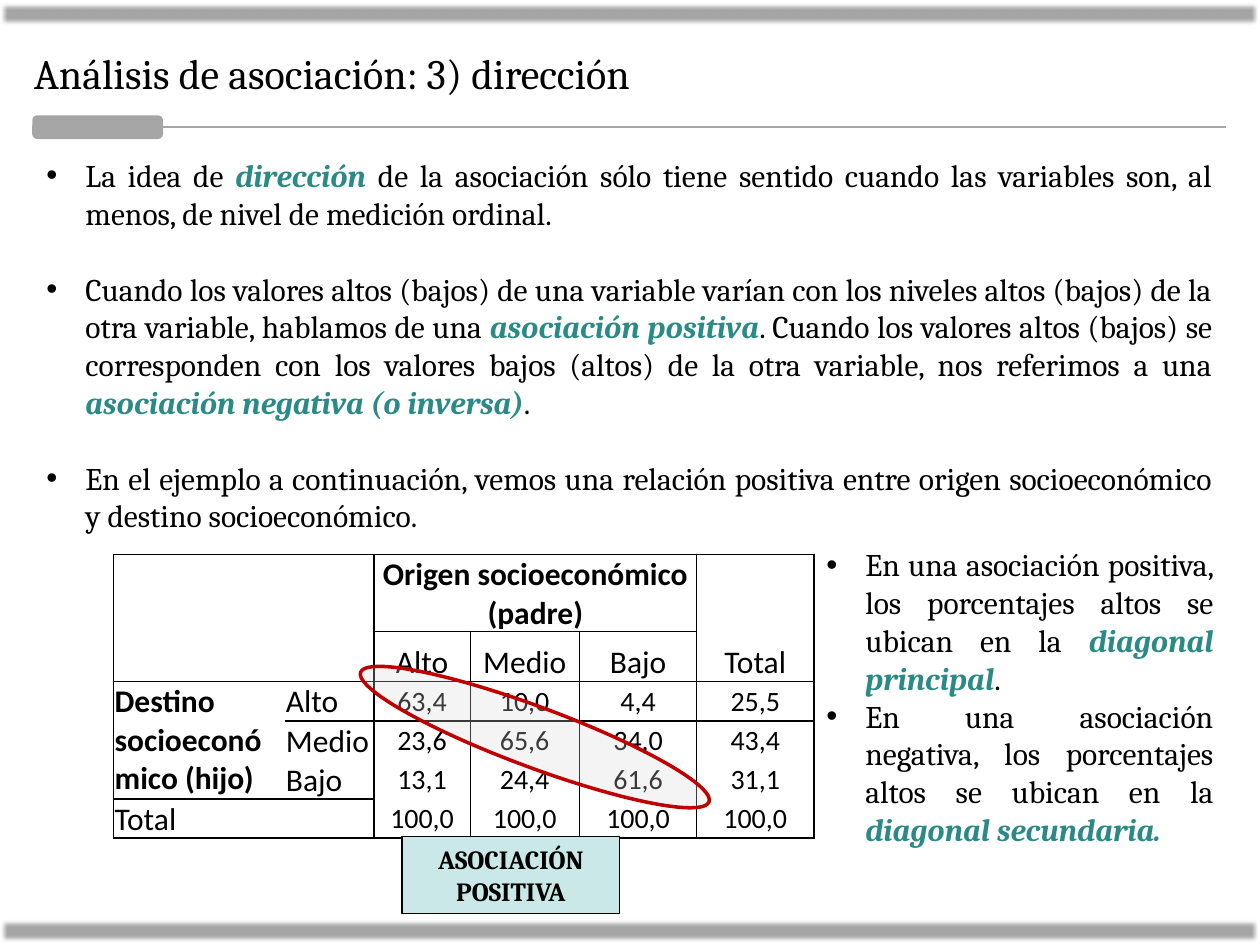
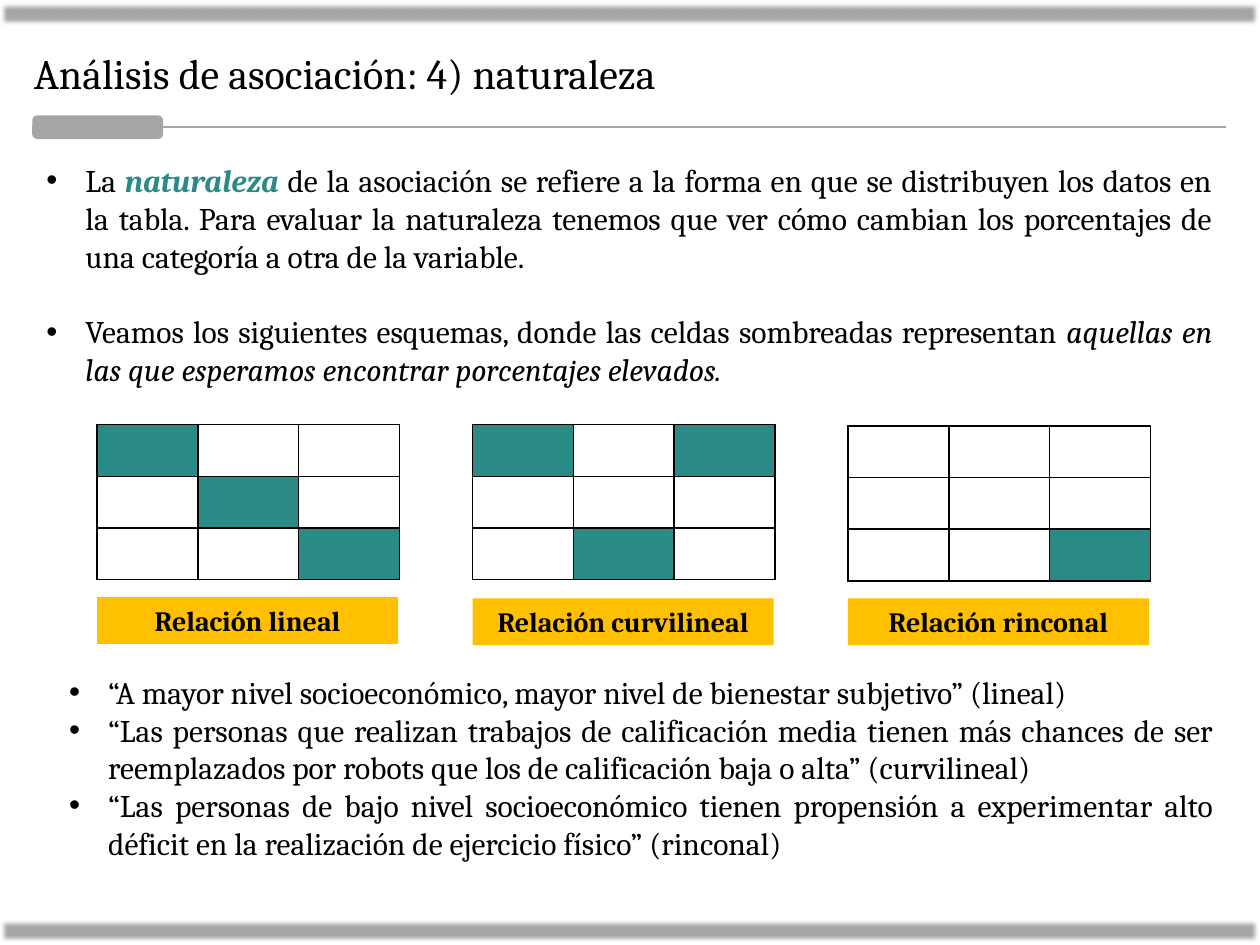
from itertools import product

from lxml.etree import SubElement
from pptx import Presentation
from pptx.dml.color import RGBColor
from pptx.enum.shapes import MSO_CONNECTOR, MSO_SHAPE as Shape
from pptx.enum.text import MSO_ANCHOR as Anchor, PP_ALIGN as Align
from pptx.oxml.ns import qn
from pptx.util import Emu, Pt

PX = 9144  # 100 px to the inch
BLACK = RGBColor(0x00, 0x00, 0x00)
GREY = RGBColor(0xA6, 0xA6, 0xA6)
LIGHT_GREY = RGBColor(0xD9, 0xD9, 0xD9)
TEAL = RGBColor(0x2A, 0x8A, 0x85)
PALE_TEAL = RGBColor(0xCA, 0xE8, 0xE7)
AMBER = RGBColor(0xFF, 0xC0, 0x00)
RED = RGBColor(0xC0, 0x00, 0x00)
SERIF, SANS = "Cambria", "Calibri"
KEY = {"bold": True, "italic": True, "color": TEAL}
PLAIN_TABLE = "{2D5ABB26-0587-4C30-8999-92F81FD0307C}"
BLANK_LINE = 21.6
BULLET_INDENT = 31


def px(*lengths):
    return [Emu(length * PX) for length in lengths]


def key(text):
    """A run in the style of a key term."""
    return text, KEY


def add_bullet(paragraph):
    properties = paragraph._p.get_or_add_pPr()
    indent = BULLET_INDENT * PX
    properties.set("marL", str(indent))
    properties.set("indent", str(-indent))
    SubElement(properties, qn("a:buFont"), typeface="Arial")
    SubElement(properties, qn("a:buChar"), char="•")


def add_border(cell, edges):
    """Draw the edges, a dict of side letter to width in points."""
    properties = cell._tc.get_or_add_tcPr()
    sides = [side for side in "LRTB" if side in edges]
    for position, side in enumerate(sides):
        line = SubElement(properties, qn(f"a:ln{side}"), w=str(Pt(edges[side])))
        fill = SubElement(line, qn("a:solidFill"))
        SubElement(fill, qn("a:srgbClr"), val=str(BLACK))
        properties.insert(position, line)


def block_edges(blocks):
    """Turn (top, left, bottom, right, width) blocks into the edges of each cell."""
    edges = {}
    for top, left, bottom, right, width in blocks:
        for row, column in product(range(top, bottom + 1), range(left, right + 1)):
            cell_edges = edges.setdefault((row, column), {})
            on_edge = {"L": column == left, "R": column == right,
                       "T": row == top, "B": row == bottom}
            cell_edges.update({side: width for side, on in on_edge.items() if on})
    return edges


class Deck:
    def __init__(self):
        self.presentation = Presentation()
        self.presentation.slide_width, self.presentation.slide_height = px(1000, 750)
        self.slide = None

    def new_slide(self, title):
        self.slide = self.presentation.slides.add_slide(self.presentation.slide_layouts[6])
        for top in (1, 729):
            band = self.shape(Shape.RECTANGLE, (0, top, 1000, 20), GREY)
            effects = band._element.spPr.find(qn("a:effectLst"))
            SubElement(effects, qn("a:softEdge"), rad=str(Pt(2.5)))
        self.shape(Shape.ROUNDED_RECTANGLE, (27, 93, 101, 16), GREY, GREY, 2)
        self.rule(123, 101, 973, 101)
        self.text((17, 33, 956, 50), [[title]], size=24)

    def add_runs(self, paragraph, runs, size, font=SERIF, align=Align.LEFT, bold=False):
        paragraph.alignment = align
        for item in runs:
            text, style = item if isinstance(item, tuple) else (item, {})
            run = paragraph.add_run()
            run.text = text
            run.font.name = font
            run.font.size = Pt(size)
            run.font.bold = style.get("bold", bold)
            run.font.italic = style.get("italic", False)
            run.font.color.rgb = style.get("color", BLACK)

    def text(self, box, paragraphs, size=18):
        frame = self.slide.shapes.add_textbox(*px(*box)).text_frame
        frame.word_wrap = True
        for index, runs in enumerate(paragraphs):
            paragraph = frame.add_paragraph() if index else frame.paragraphs[0]
            self.add_runs(paragraph, runs, size)
        return frame

    def bullets(self, box, items, gap=0):
        frame = self.text(box, items)
        for index, paragraph in enumerate(frame.paragraphs):
            add_bullet(paragraph)
            paragraph.alignment = Align.JUSTIFY
            if index and gap:
                paragraph.space_before = Pt(gap)

    def shape(self, kind, box, fill, line=None, width=0.75):
        shape = self.slide.shapes.add_shape(kind, *px(*box))
        shape.shadow.inherit = False
        shape.fill.solid()
        shape.fill.fore_color.rgb = fill
        if line is None:
            shape.line.fill.background()
        else:
            shape.line.color.rgb = line
            shape.line.width = Pt(width)
        return shape

    def label(self, box, text, fill, size, line=None):
        frame = self.shape(Shape.RECTANGLE, box, fill, line).text_frame
        frame.word_wrap = True
        frame.vertical_anchor = Anchor.MIDDLE
        self.add_runs(frame.paragraphs[0], [text], size, align=Align.CENTER, bold=True)

    def rule(self, *ends):
        connector = self.slide.shapes.add_connector(MSO_CONNECTOR.STRAIGHT, *px(*ends))
        connector.line.color.rgb = GREY
        connector.line.width = Pt(1.25)
        SubElement(connector._element.spPr, qn("a:effectLst"))

    def highlight(self, box, rotation):
        ellipse = self.shape(Shape.OVAL, box, LIGHT_GREY, RED, 2)
        ellipse.rotation = rotation
        color = ellipse._element.spPr.find(qn("a:solidFill")).find(qn("a:srgbClr"))
        SubElement(color, qn("a:alpha"), val="27000")

    def table(self, left, top, widths, heights, edges):
        table = self.slide.shapes.add_table(
            len(heights), len(widths), *px(left, top, sum(widths), sum(heights))).table
        table.first_row = table.horz_banding = False
        table._tbl.tblPr.find(qn("a:tableStyleId")).text = PLAIN_TABLE
        for column, width in zip(table.columns, widths):
            column.width = Emu(width * PX)
        for row, height in zip(table.rows, heights):
            row.height = Emu(height * PX)
        for (row, column), cell_edges in edges.items():
            cell = table.cell(row, column)
            cell.fill.background()
            add_border(cell, cell_edges)
        return table

    def cell(self, cell, text, size=18, align=Align.CENTER, anchor=Anchor.BOTTOM, bold=False):
        cell.margin_left, cell.margin_right, cell.margin_top, cell.margin_bottom = px(1, 1, 1, 0)
        cell.vertical_anchor = anchor
        self.add_runs(cell.text_frame.paragraphs[0], [text], size, SANS, align, bold)

    def scheme(self, left, top, shaded):
        """A 3 by 3 grid with the given (row, column) cells shaded."""
        edges = {place: dict.fromkeys("LRTB", 1) for place in product(range(3), repeat=2)}
        table = self.table(left, top, [80] * 3, [41] * 3, edges)
        for place in shaded:
            fill = table.cell(*place).fill
            fill.solid()
            fill.fore_color.rgb = TEAL


def mobility_table(deck):
    thin = [(0, 2, 0, 4, 0.5)]
    thin += [(top, column, bottom, column, 0.5)
             for top, bottom in ((1, 1), (2, 5)) for column in (2, 3, 4)]
    thick = [(top, left, bottom, right, 1)
             for top, bottom in ((0, 1), (2, 5)) for left, right in ((0, 1), (2, 4), (5, 5))]
    table = deck.table(90, 440, [136, 71, 76, 87, 93, 93], [61, 35] + [31] * 4,
                       block_edges(thin + thick))
    for top, left, bottom, right in ((0, 0, 1, 1), (0, 2, 0, 4), (0, 5, 1, 5),
                                     (2, 0, 4, 0), (5, 0, 5, 1)):
        table.cell(top, left).merge(table.cell(bottom, right))

    levels = ["Alto", "Medio", "Bajo"]
    deck.cell(table.cell(0, 2), "Origen socioeconómico (padre)", bold=True)
    deck.cell(table.cell(0, 5), "Total")
    label_style = {"align": Align.LEFT, "anchor": Anchor.TOP}
    deck.cell(table.cell(2, 0), "Destino socioeconómico (hijo)", bold=True, **label_style)
    deck.cell(table.cell(5, 0), "Total", **label_style)
    for index, level in enumerate(levels, 2):
        deck.cell(table.cell(1, index), level)
        deck.cell(table.cell(index, 1), level, **label_style)

    percentages = [
        ["63,4", "10,0", "4,4", "25,5"],
        ["23,6", "65,6", "34,0", "43,4"],
        ["13,1", "24,4", "61,6", "31,1"],
        ["100,0"] * 4,
    ]
    for row, values in enumerate(percentages, 2):
        for column, value in enumerate(values, 2):
            deck.cell(table.cell(row, column), value, size=16, anchor=Anchor.MIDDLE)


def direction_slide(deck):
    deck.new_slide("Análisis de asociación: 3) dirección")
    deck.bullets((27, 119, 945, 313), [
        ["La idea de ", key("dirección "),
         "de la asociación sólo tiene sentido cuando las variables son, al menos, "
         "de nivel de medición ordinal."],
        ["Cuando los valores altos (bajos) de una variable varían con los niveles altos "
         "(bajos) de la otra variable, hablamos de una ", key("asociación positiva"),
         ". Cuando los valores altos (bajos) se corresponden con los valores bajos (altos) "
         "de la otra variable, nos referimos a una ",
         key("asociación negativa (o inversa)"), "."],
        ["En el ejemplo a continuación, vemos una relación positiva entre origen "
         "socioeconómico y destino socioeconómico."],
    ], BLANK_LINE)
    mobility_table(deck)
    deck.label((319, 664, 173, 61), "ASOCIACIÓN POSITIVA", PALE_TEAL, 15, BLACK)
    deck.bullets((646, 428, 327, 252), [
        ["En una asociación positiva, los porcentajes altos se ubican en la ",
         key("diagonal principal"), "."],
        ["En una asociación negativa, los porcentajes altos se ubican en la ",
         key("diagonal secundaria.")],
    ])
    deck.highlight((277, 561, 295, 48), 20.4)


def nature_slide(deck):
    deck.new_slide("Análisis de asociación: 4) naturaleza")
    deck.bullets((27, 123, 945, 192), [
        ["La ", key("naturaleza"),
         " de la asociación se refiere a la forma en que se distribuyen los datos en la "
         "tabla. Para evaluar la naturaleza tenemos que ver cómo cambian los porcentajes "
         "de una categoría a otra de la variable."],
        ["Veamos los siguientes esquemas, donde las celdas sombreadas representan ",
         ("aquellas en las que esperamos encontrar porcentajes elevados.", {"italic": True})],
    ], BLANK_LINE)
    schemes = [
        ("Relación lineal", 337, 474, [(0, 0), (1, 1), (2, 2)]),
        ("Relación curvilineal", 337, 475, [(0, 0), (0, 2), (2, 1)]),
        ("Relación rinconal", 338, 475, [(2, 2)]),
    ]
    for index, (name, grid_top, label_top, shaded) in enumerate(schemes):
        left = 77 + 298 * index
        deck.scheme(left, grid_top, shaded)
        deck.label((left, label_top, 239, 37), name, AMBER, 16)
    deck.bullets((45, 529, 928, 162), [
        ["“A mayor nivel socioeconómico, mayor nivel de bienestar subjetivo” (lineal)"],
        ["“Las personas que realizan trabajos de calificación media tienen más chances de "
         "ser reemplazados por robots que los de calificación baja o alta” (curvilineal)"],
        ["“Las personas de bajo nivel socioeconómico tienen propensión a experimentar alto "
         "déficit en la realización de ejercicio físico” (rinconal)"],
    ])


def main():
    deck = Deck()
    direction_slide(deck)
    nature_slide(deck)
    deck.presentation.save("out.pptx")


if __name__ == "__main__":
    main()
